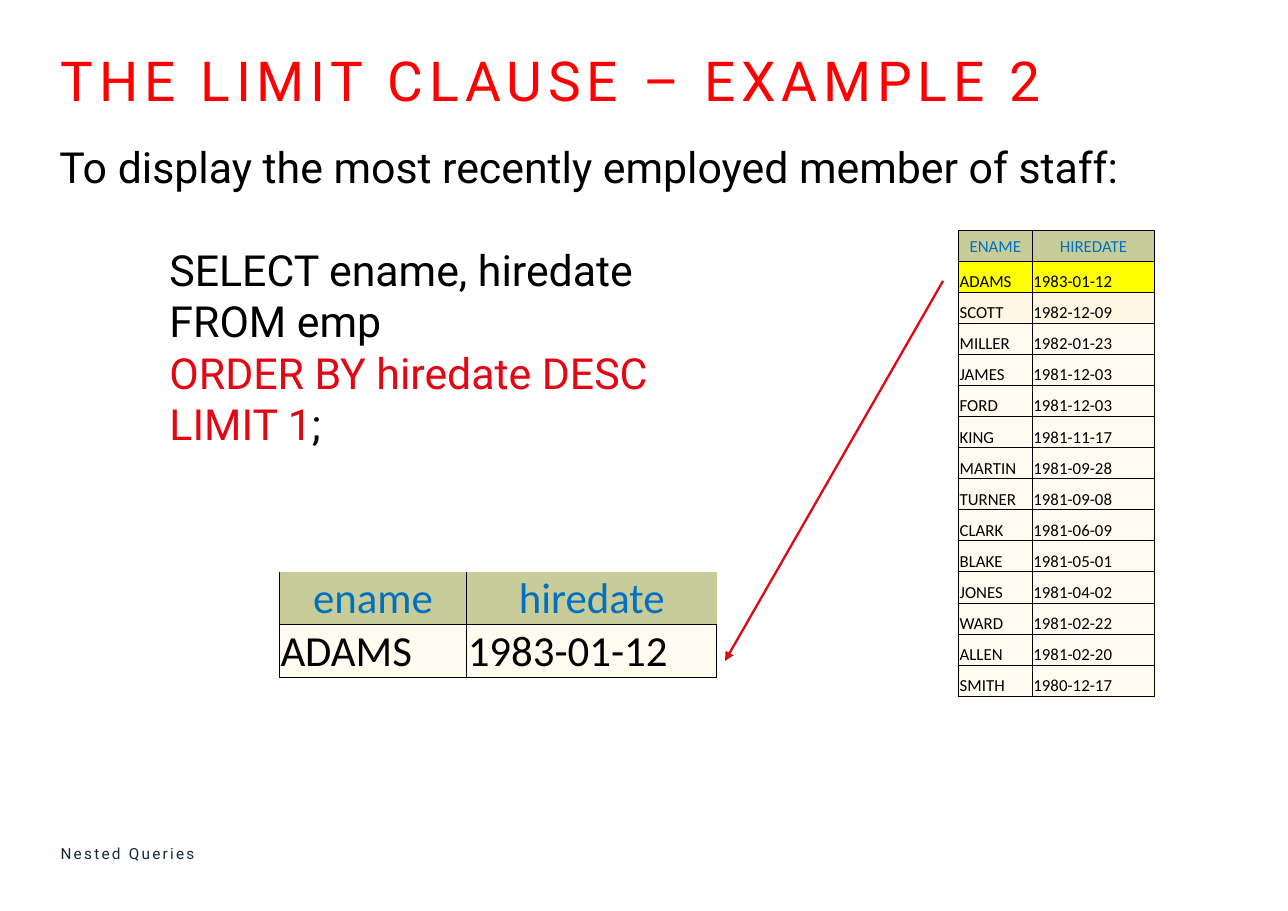
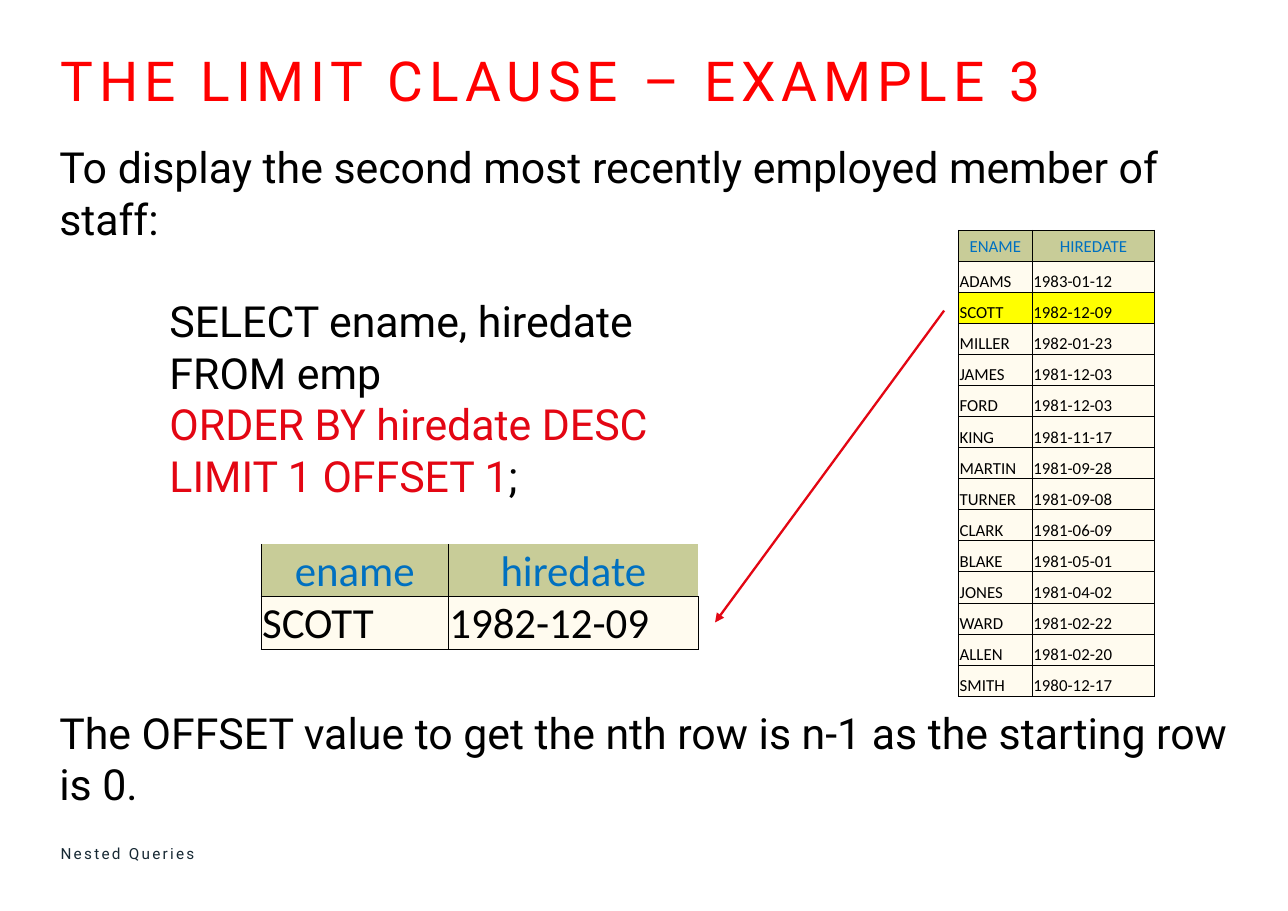
from dataclasses import dataclass

from lxml.etree import SubElement
from pptx import Presentation
from pptx.dml.color import RGBColor
from pptx.enum.shapes import MSO_CONNECTOR, MSO_SHAPE
from pptx.enum.text import MSO_ANCHOR, PP_ALIGN
from pptx.oxml.ns import qn
from pptx.util import Pt


@dataclass(frozen=True)
class Theme:
    text_font: str = "Roboto"
    table_font: str = "Calibri"
    title: str = "FF0000"
    ink: str = "000000"
    accent: str = "E30613"
    footer: str = "172934"
    paper: str = "FFFFFF"
    header_fill: str = "C8CC98"
    header_ink: str = "0070C0"
    row_fill: str = "FFFBEF"
    tint_fill: str = "FFF7E1"
    highlight: str = "FFFF00"
    title_size: float = 36
    body_size: float = 28
    staff_size: float = 11
    footer_size: float = 10
    body_leading: float = 33.6


THEME = Theme()
TITLE_BOX = (39.6, 30.2, 771, 44.6)
FOOTER_BOX = (39.6, 550, 525, 15.8)
ALL_SIDES = "LRTB"
STAFF_BOX = (626.4, 150.5, 128.1, 304.5)
STAFF_COLUMNS = (48.2, 79.9)
RESULT_SIZE = (285.8, 68.4)
RESULT_COLUMNS = (122.4, 163.4)
STAFF = [
    ("ENAME", "HIREDATE"),
    ("ADAMS", "1983-01-12"),
    ("SCOTT", "1982-12-09"),
    ("MILLER", "1982-01-23"),
    ("JAMES", "1981-12-03"),
    ("FORD", "1981-12-03"),
    ("KING", "1981-11-17"),
    ("MARTIN", "1981-09-28"),
    ("TURNER", "1981-09-08"),
    ("CLARK", "1981-06-09"),
    ("BLAKE", "1981-05-01"),
    ("JONES", "1981-04-02"),
    ("WARD", "1981-02-22"),
    ("ALLEN", "1981-02-20"),
    ("SMITH", "1980-12-17"),
]


def rgb(value):
    return RGBColor.from_string(value)


def points(box):
    return [Pt(length) for length in box]


def write(paragraph, text, *, size, color=THEME.ink, font=THEME.text_font,
          align=PP_ALIGN.LEFT, tracking=0, indent=0, before=0, leading=None):
    paragraph.alignment = align
    if indent:
        paragraph._p.get_or_add_pPr().set("marL", str(Pt(indent)))
    if before:
        paragraph.space_before = Pt(before)
    if leading:
        paragraph.line_spacing = Pt(leading)
    run = paragraph.add_run()
    run.text = text
    run.font.size = Pt(size)
    run.font.name = font
    run.font.color.rgb = rgb(color)
    if tracking:
        run._r.get_or_add_rPr().set("spc", str(round(tracking * 100)))


def add_label(slide, box, text, anchor=MSO_ANCHOR.TOP, **style):
    frame = slide.shapes.add_textbox(*points(box)).text_frame
    frame.word_wrap = True
    frame.vertical_anchor = anchor
    frame.margin_left = frame.margin_right = 0
    frame.margin_top = frame.margin_bottom = 0
    write(frame.paragraphs[0], text, **style)


def add_body(slide, box, intro, limit, remark):
    panel = slide.shapes.add_shape(MSO_SHAPE.RECTANGLE, *points(box))
    panel.shadow.inherit = False
    panel.fill.solid()
    panel.fill.fore_color.rgb = rgb(THEME.paper)
    panel.line.fill.background()
    frame = panel.text_frame
    frame.word_wrap = True
    frame.vertical_anchor = MSO_ANCHOR.TOP
    line = THEME.body_leading
    body = dict(size=THEME.body_size, leading=line)
    code = dict(body, indent=72)
    write(frame.paragraphs[0], intro, **body)
    write(frame.add_paragraph(), "SELECT ename, hiredate", before=line, **code)
    write(frame.add_paragraph(), "FROM emp", **code)
    write(frame.add_paragraph(), "ORDER BY hiredate DESC", color=THEME.accent, **code)
    limit_line = frame.add_paragraph()
    write(limit_line, limit, color=THEME.accent, **code)
    write(limit_line, ";", **code)
    if remark:
        write(frame.add_paragraph(), remark, before=4 * line, **body)


def set_borders(cell, sides):
    properties = cell._tc.get_or_add_tcPr()
    for side in ALL_SIDES:
        border = SubElement(properties, qn(f"a:ln{side}"), w=str(Pt(0.5)))
        if side in sides:
            fill = SubElement(border, qn("a:solidFill"))
            SubElement(fill, qn("a:srgbClr"), val=THEME.ink)
        else:
            SubElement(border, qn("a:noFill"))


def fill_cell(cell, text, *, size, fill, sides, header):
    set_borders(cell, sides)
    cell.fill.solid()
    cell.fill.fore_color.rgb = rgb(fill)
    cell.margin_left = cell.margin_right = cell.margin_top = Pt(0.72)
    cell.margin_bottom = 0
    cell.vertical_anchor = MSO_ANCHOR.MIDDLE if header else MSO_ANCHOR.BOTTOM
    write(cell.text_frame.paragraphs[0], text, size=size, font=THEME.table_font,
          color=THEME.header_ink if header else THEME.ink,
          align=PP_ALIGN.CENTER if header else PP_ALIGN.LEFT)


def add_grid(slide, box, rows, widths, size, fills, header_sides):
    table = slide.shapes.add_table(len(rows), len(widths), *points(box)).table
    table.first_row = table.horz_banding = False
    for column, width in zip(table.columns, widths):
        column.width = Pt(width)
    for r, values in enumerate(rows):
        table.rows[r].height = Pt(box[3] / len(rows))
        header = r == 0
        fill = THEME.header_fill if header else fills.get(values[0], THEME.row_fill)
        for c, value in enumerate(values):
            fill_cell(table.cell(r, c), value, size=size, fill=fill, header=header,
                      sides=header_sides[c] if header else ALL_SIDES)


def add_arrow(slide, start, end):
    arrow = slide.shapes.add_connector(MSO_CONNECTOR.STRAIGHT, *points(start + end))
    arrow.line.color.rgb = rgb(THEME.accent)
    arrow.line.width = Pt(1.5)
    SubElement(arrow.line._get_or_add_ln(), qn("a:tailEnd"), type="triangle")
    SubElement(arrow._element.spPr, qn("a:effectLst"))


def add_example(deck, *, number, intro, limit, body_box, picked, result_at,
                arrow, fills, remark=None):
    slide = deck.slides.add_slide(deck.slide_layouts[6])
    add_label(slide, TITLE_BOX, f"THE LIMIT CLAUSE – EXAMPLE {number}",
              size=THEME.title_size, color=THEME.title, tracking=3.8)
    add_body(slide, body_box, intro, limit, remark)
    add_label(slide, FOOTER_BOX, "Nested Queries", anchor=MSO_ANCHOR.MIDDLE,
              size=THEME.footer_size, color=THEME.footer, tracking=1.5)
    add_grid(slide, result_at + RESULT_SIZE, [("ename", "hiredate"), picked],
             RESULT_COLUMNS, THEME.body_size, {}, ("LRB", "LB"))
    add_arrow(slide, *arrow)
    add_grid(slide, STAFF_BOX, STAFF, STAFF_COLUMNS, THEME.staff_size,
             fills, (ALL_SIDES, ALL_SIDES))


def main():
    deck = Presentation()
    deck.slide_width, deck.slide_height = Pt(841.68), Pt(595.44)
    add_example(
        deck, number=2,
        intro="To display the most recently employed member of staff:",
        limit="LIMIT 1",
        body_box=(31.7, 88.6, 779.8, 244.8),
        picked=STAFF[1],
        result_at=(182.6, 373.7),
        arrow=((616.3, 183.6), (473.8, 432)),
        fills={"ADAMS": THEME.highlight, "SCOTT": THEME.tint_fill},
    )
    add_example(
        deck, number=3,
        intro="To display the second most recently employed member of staff:",
        limit="LIMIT 1 OFFSET 1",
        body_box=(31.7, 88.6, 779.8, 448.6),
        picked=STAFF[2],
        result_at=(170.6, 355.7),
        arrow=((617, 203), (467.3, 406.8)),
        fills={"SCOTT": THEME.highlight},
        remark="The OFFSET value to get the nth row is n-1 as the starting row is 0.",
    )
    deck.save("out.pptx")


if __name__ == "__main__":
    main()
